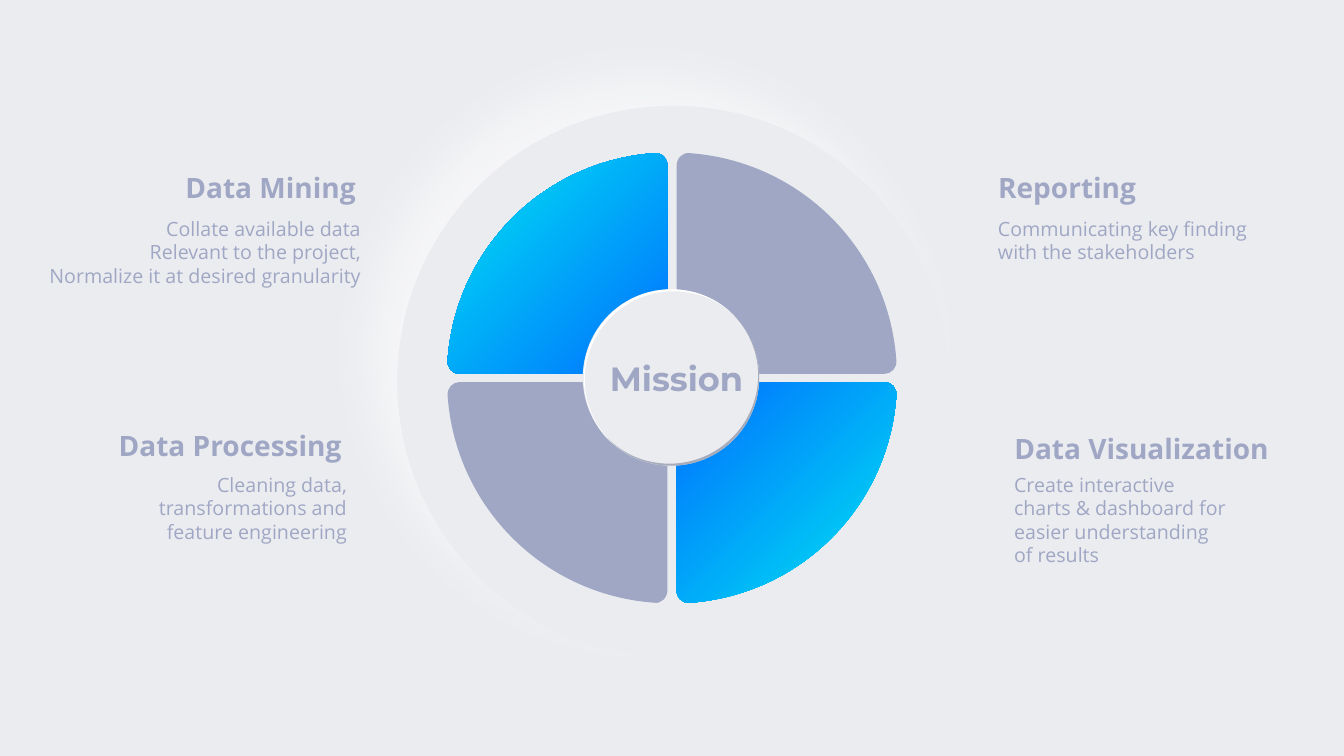
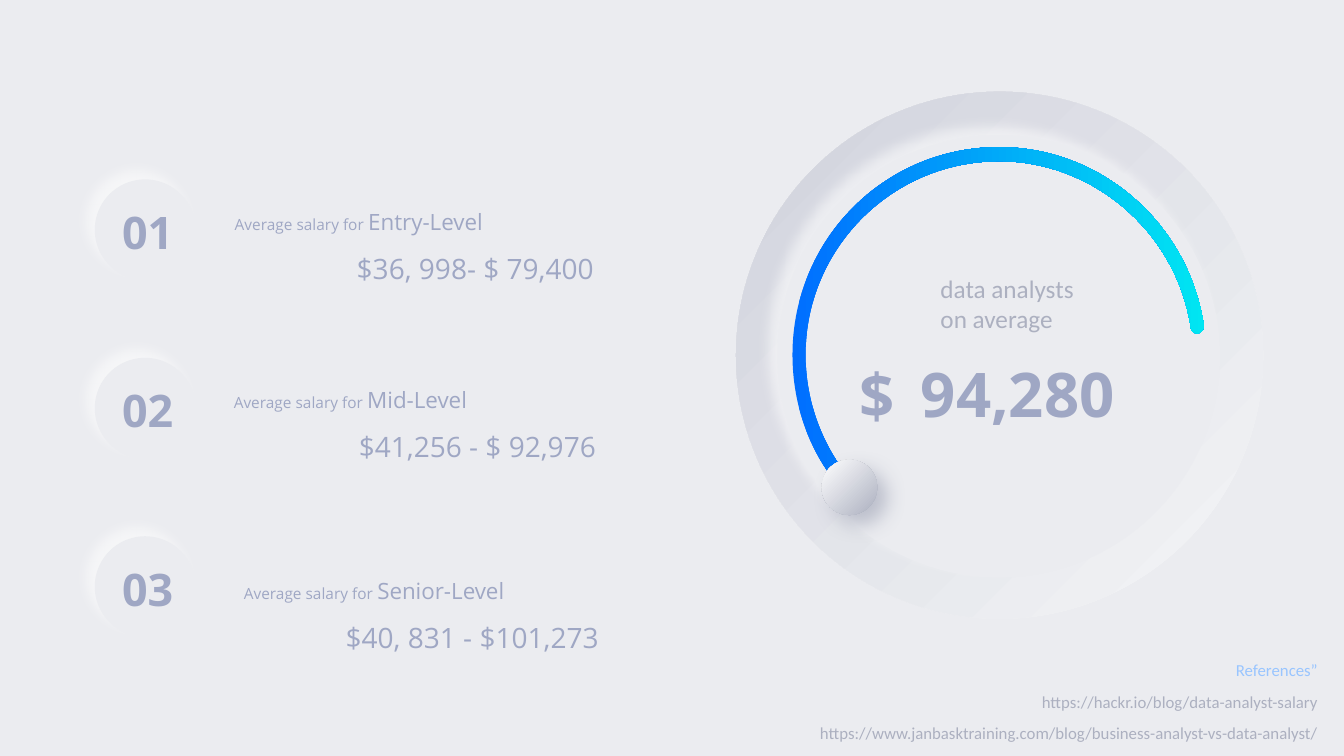
"""Build two soft-relief slides: a mission wheel and a salary gauge."""
from lxml.etree import SubElement
from pptx import Presentation
from pptx.dml.color import RGBColor
from pptx.enum.shapes import MSO_SHAPE as Shape
from pptx.enum.text import MSO_ANCHOR as Anchor, MSO_AUTO_SIZE as AutoSize, PP_ALIGN as Align
from pptx.oxml.ns import qn
from pptx.util import Pt

PX = 9144
SURFACE, INK, MUTED = "EBECF0", "9FA7C4", "ACB0C0"
WHITE, BLUE, CYAN, SHADE, PALE_BLUE = "FFFFFF", "006EFF", "00E6F2", "A7ACBD", "99C5FF"
BODY_FONT, HUB_FONT, NOTE_FONT = "Open Sans", "Montserrat", "Calibri"
SMALL_GLOW = (WHITE, 56, 9, 9, 225)

QUADRANT_SIZE = (219, 220)
QUADRANT = [
    (219, 207),
    ((219, 14), (219, 14), (219, 14)),
    ((219, 6), (213, 0), (206, 1)),
    ((96, 9), (9, 96), (1, 206)),
    ((0, 214), (6, 220), (13, 220)),
    ((207, 220), (207, 220), (207, 220)),
    ((214, 220), (219, 214), (219, 207)),
]
CRESCENT_SIZE = (151, 151)
CRESCENT = [
    (124, 0),
    ((139, 16), (149, 38), (149, 61)),
    ((149, 110), (109, 149), (61, 149)),
    ((37, 149), (16, 140), (0, 124)),
    ((16, 141), (38, 151), (63, 151)),
    ((111, 151), (150, 112), (150, 63)),
    ((150, 39), (140, 16), (124, 0)),
]
ARC_SIZE = (409, 344)
ARC = [
    (55, 344),
    ((53, 344), (51, 343), (50, 341)),
    ((17, 304), (0, 256), (0, 206)),
    ((0, 92), (91, 0), (205, 0)),
    ((306, 0), (393, 76), (408, 177)),
    ((408, 181), (406, 184), (402, 185)),
    ((399, 185), (395, 183), (395, 179)),
    ((381, 85), (299, 14), (205, 14)),
    ((99, 14), (13, 100), (13, 206)),
    ((13, 253), (30, 298), (60, 333)),
    ((63, 335), (62, 339), (59, 342)),
    ((58, 343), (57, 344), (55, 344)),
]

TOPICS = [
    ("Data Mining", (183, 169, 170, 34),
     ["Collate available data", "Relevant to the project,",
      "Normalize it at desired granularity"], (32, 210, 336, 81), Align.RIGHT),
    ("Data Processing", (116, 425, 223, 34),
     ["Cleaning data, transformations and feature engineering"],
     (85, 464, 269, 81), Align.RIGHT),
    ("Reporting", (990, 169, 344, 34),
     ["Communicating key finding with the stakeholders"],
     (980, 210, 283, 57), Align.LEFT),
    ("Data Visualization", (1006, 428, 258, 34),
     ["Create interactive charts & dashboard for easier understanding of results"],
     (996, 464, 236, 104), Align.LEFT),
]
SALARIES = [
    ("01", "Entry-Level", "$36, 998- $ 79,400", (223, 188, 417, 96), 121),
    ("02", "Mid-Level", "$41,256 - $ 92,976", (222, 365, 389, 96), 124),
    ("03", "Senior-Level", "$40, 831 - $101,273", (232, 554, 373, 96), 101),
]


def color(value):
    """Turn a hex string into a colour."""
    return RGBColor.from_string(value)


def to_emu(*lengths):
    """Turn px lengths into EMU."""
    return [length * PX for length in lengths]


def paint(shape, fill):
    """Fill with a colour or a (start, end, clockwise angle) gradient, without line or shadow."""
    if isinstance(fill, str):
        shape.fill.solid()
        shape.fill.fore_color.rgb = color(fill)
    else:
        start, end, angle = fill
        shape.fill.gradient()
        shape.fill.gradient_angle = (360 - angle) % 360
        for stop, value in zip(shape.fill.gradient_stops, (start, end)):
            stop.color.rgb = color(value)
    shape.line.fill.background()
    shape.shadow.inherit = False


def add_shadow(shape, value, opacity, blur, distance, angle):
    """Give a painted shape an outer shadow, with blur and distance in points."""
    effects = shape.element.spPr.find(qn("a:effectLst"))
    shadow = SubElement(effects, qn("a:outerShdw"), blurRad=str(Pt(blur)),
                        dist=str(Pt(distance)), dir=str(angle * 60000), rotWithShape="0")
    tone = SubElement(shadow, qn("a:srgbClr"), val=value)
    SubElement(tone, qn("a:alpha"), val=str(opacity * 1000))


def make_radial(shape):
    """Spread a shape's gradient in circles from its top left corner."""
    gradient = shape.element.spPr.find(qn("a:gradFill"))
    gradient.remove(gradient.find(qn("a:lin")))
    circle = SubElement(gradient, qn("a:path"), path="circle")
    SubElement(circle, qn("a:fillToRect"), r="100000", b="100000")


def add_circle(slide, left, top, diameter, fill, shadow=None):
    """Add a circle with an optional shadow."""
    circle = slide.shapes.add_shape(Shape.OVAL, *to_emu(left, top, diameter, diameter))
    paint(circle, fill)
    if shadow:
        add_shadow(circle, *shadow)
    return circle


def bend_segments(shape, size, curves):
    """Turn a freeform's straight segments into cubic curves measured in its box."""
    outline = next(shape.element.iter(qn("a:path")))
    for name, length in zip("wh", to_emu(*size)):
        outline.set(name, str(length))
    start = outline.find(qn("a:moveTo")).find(qn("a:pt"))
    for name, value in zip("xy", to_emu(*curves[0])):
        start.set(name, str(value))
    for segment, curve in zip(outline.findall(qn("a:lnTo")), curves[1:]):
        bend = SubElement(outline, qn("a:cubicBezTo"))
        for point in curve:
            x, y = to_emu(*point)
            SubElement(bend, qn("a:pt"), x=str(x), y=str(y))
        outline.replace(segment, bend)


def add_outline(slide, left, top, size, outline, fill, flip_x=False, flip_y=False):
    """Add a closed curved outline, mirrored within its box if asked."""
    width, height = size

    def place(point):
        """Mirror a point within the box."""
        x, y = point
        return (width - x if flip_x else x, height - y if flip_y else y)

    start = place(outline[0])
    curves = [[place(point) for point in curve] for curve in outline[1:]]
    builder = slide.shapes.build_freeform(*start, scale=PX)
    builder.add_line_segments([curve[-1] for curve in curves], close=True)
    shape = builder.convert_to_shape()
    shape.left, shape.top, shape.width, shape.height = to_emu(left, top, width, height)
    bend_segments(shape, size, [start, *curves])
    paint(shape, fill)


def add_text(slide, box, lines, size, align=Align.LEFT, font=BODY_FONT, ink=INK,
             bold=False, inset=True, wrap=True):
    """Add a text box with one paragraph per line and return its frame."""
    frame = slide.shapes.add_textbox(*to_emu(*box)).text_frame
    frame.word_wrap = wrap
    frame.auto_size = AutoSize.SHAPE_TO_FIT_TEXT
    frame.vertical_anchor = Anchor.TOP
    if not inset:
        frame.margin_left = frame.margin_right = frame.margin_top = frame.margin_bottom = 0
    frame.text = "\n".join(lines)
    for paragraph in frame.paragraphs:
        paragraph.alignment = align
        for run in paragraph.runs:
            format_run(run, size, font, ink, bold)
    return frame


def format_run(run, size, font=BODY_FONT, ink=INK, bold=False):
    """Set the font of a run."""
    run.font.size = Pt(size)
    run.font.name = font
    run.font.bold = bold
    run.font.color.rgb = color(ink)


def add_salary(slide, box, level, pay, indent):
    """Add a salary level with its indented pay range below."""
    frame = add_text(slide, box, ["Average salary for ", pay], 20)
    label, amount = frame.paragraphs
    label.runs[0].font.size = Pt(11)
    run = label.add_run()
    run.text = level
    format_run(run, 16)
    label.line_spacing = amount.line_spacing = 1.5
    amount._p.get_or_add_pPr().set("marL", str(indent * PX))


def build_mission(slide):
    """Draw the four-part wheel with its topics."""
    add_circle(slide, 394, 105, 547, SURFACE, (WHITE, 56, 38, 29, 225))
    for row in range(2):
        for column in range(2):
            fill = INK
            if row == column:
                fill = (CYAN, BLUE, 225) if row else (BLUE, CYAN, 225)
            add_outline(slide, 443 + 228 * column, 151 + 228 * row, QUADRANT_SIZE, QUADRANT,
                        fill, flip_x=column == 1, flip_y=row == 1)
    add_circle(slide, 578, 287, 175, SURFACE)
    add_outline(slide, 603, 311, CRESCENT_SIZE, CRESCENT, SHADE)
    add_outline(slide, 578, 287, CRESCENT_SIZE, CRESCENT, WHITE, flip_x=True, flip_y=True)
    add_text(slide, (604, 355, 134, 40), ["Mission"], 24, Align.CENTER, HUB_FONT,
             bold=True, inset=False)
    for heading, heading_box, lines, body_box, align in TOPICS:
        add_text(slide, heading_box, [heading], 20, align, bold=True, inset=False,
                 wrap=align == Align.LEFT)
        add_text(slide, body_box, lines, 14, align)


def build_salaries(slide):
    """Draw the salary list, the gauge and the references."""
    add_circle(slide, 730, 91, 523, ("F4F5F7", "D0D2DC", 225))
    add_circle(slide, 771, 134, 439, SURFACE, SMALL_GLOW)
    add_outline(slide, 786, 146, ARC_SIZE, ARC, (BLUE, CYAN, 0))
    knob = add_circle(slide, 815, 456, 55, (WHITE, MUTED, 45), (MUTED, 72, 14, 10, 45))
    make_radial(knob)
    for left, top, text in ((755, 354, "$"), (895, 353, "94,280")):
        add_text(slide, (left, top, 229, 74), [text], 44, Align.CENTER, bold=True, inset=False)
    add_text(slide, (923, 266, 173, 71), ["data analysts on average"], 18,
             font=NOTE_FONT, ink=MUTED)
    for index, (number, level, pay, box, indent) in enumerate(SALARIES):
        top = 178 + 177 * index
        add_circle(slide, 94, top, 100, SURFACE, SMALL_GLOW)
        add_text(slide, (106, top + 20, 81, 64), [number], 32, Align.CENTER, bold=True)
        add_salary(slide, box, level, pay, indent)
    references = add_text(slide, (650, 650, 667, 96), [
        "References”",
        "https://hackr.io/blog/data-analyst-salary",
        "https://www.janbasktraining.com/blog/business-analyst-vs-data-analyst/",
    ], 12, Align.RIGHT, NOTE_FONT, MUTED)
    references.paragraphs[0].runs[0].font.color.rgb = color(PALE_BLUE)
    for paragraph in references.paragraphs:
        paragraph.space_after = Pt(8)


def main():
    """Build and save the presentation."""
    presentation = Presentation()
    presentation.slide_width, presentation.slide_height = to_emu(1333, 750)
    background = presentation.slide_master.background.fill
    background.solid()
    background.fore_color.rgb = color(SURFACE)
    blank = presentation.slide_layouts.get_by_name("Blank")
    for build in (build_mission, build_salaries):
        build(presentation.slides.add_slide(blank))
    presentation.save("out.pptx")


if __name__ == "__main__":
    main()
